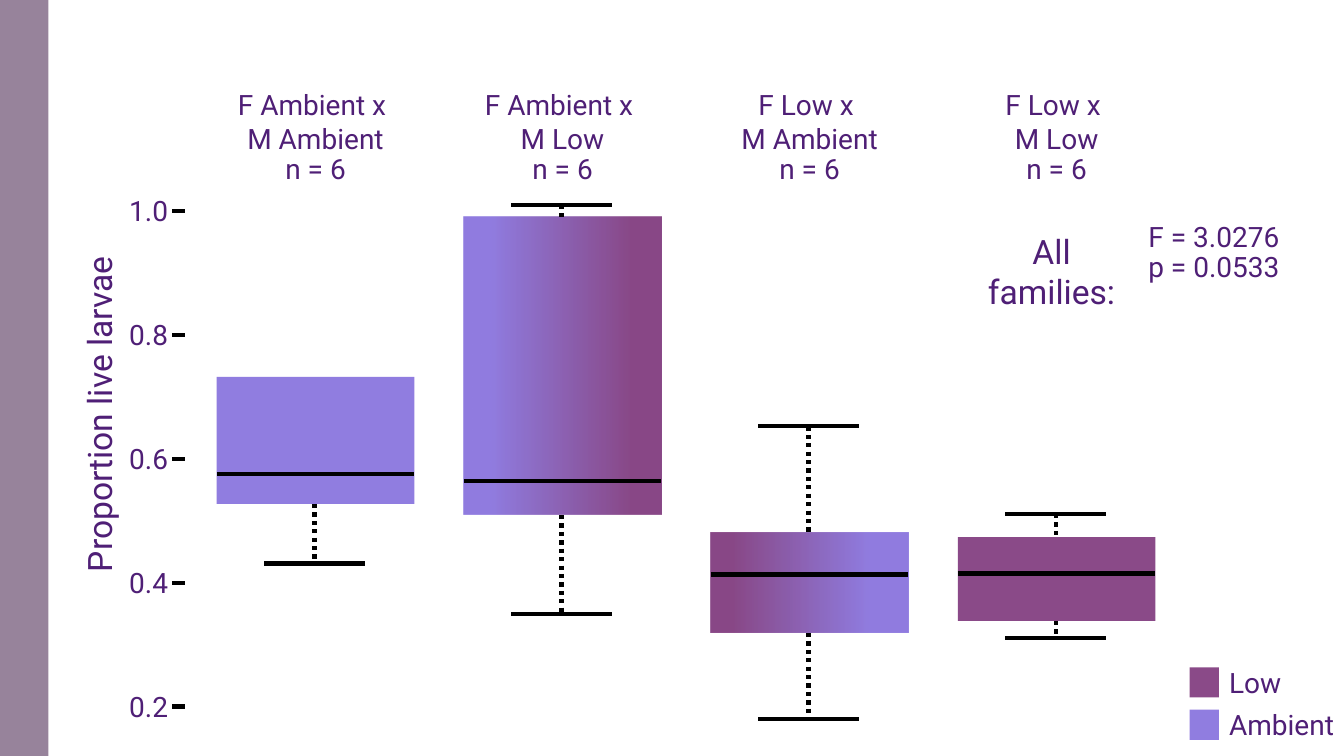
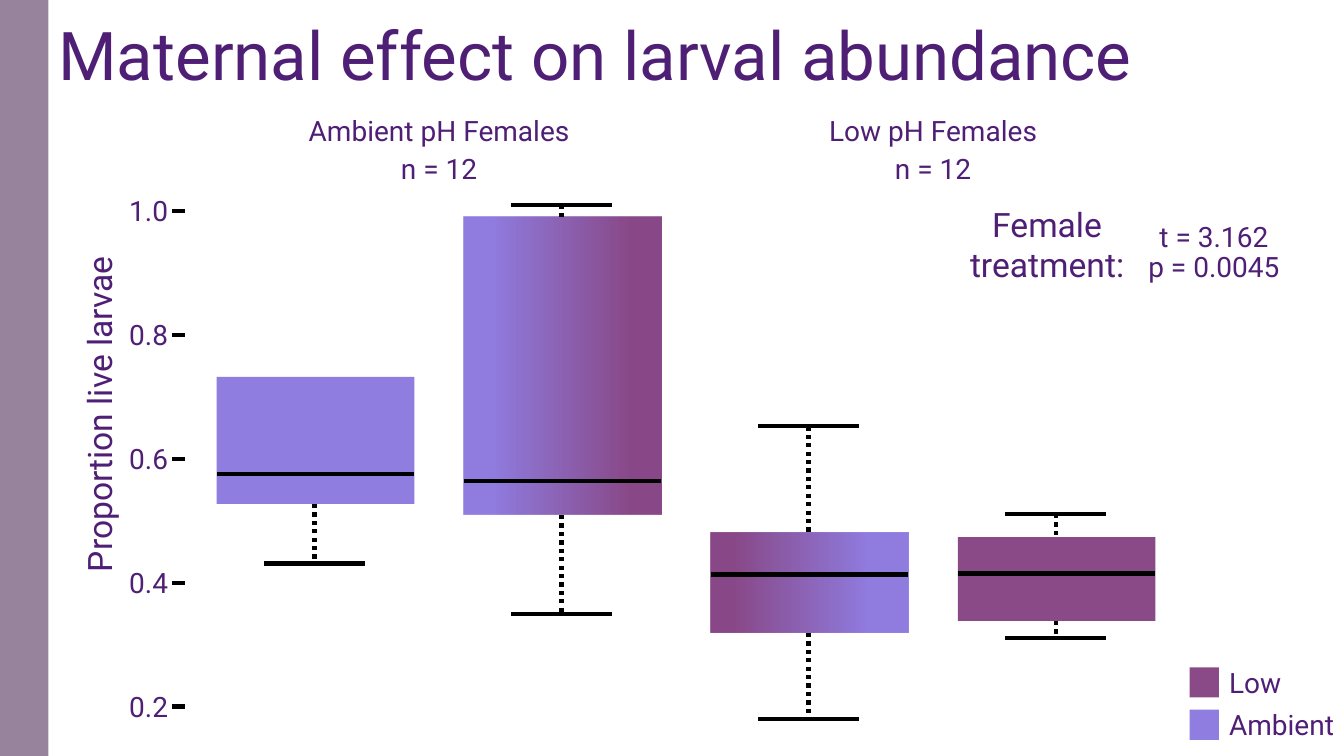
import dataclasses
import typing

import lxml.etree
import pptx
import pptx.dml.color
import pptx.enum.dml
import pptx.enum.shapes
import pptx.enum.text
import pptx.oxml.ns
import pptx.util

PX = 9144  # EMU: 100 px to the inch
FONT = "Roboto"
HUES = {
    "ink": "4F1F76",
    "band": "7E6583",
    "low": "6D1D6B",
    "ambient": "755DD9",
    "line": "000000",
}
ALIGN = pptx.enum.text.PP_ALIGN
ANCHOR = pptx.enum.text.MSO_ANCHOR


@dataclasses.dataclass(frozen=True)
class Stop:
    hue: str
    place: float


@dataclasses.dataclass(frozen=True)
class Box:
    """One box of the plot, with heights as px from the slide top."""
    top: int
    mid: int
    base: int
    low: int
    high: typing.Optional[int]
    stops: tuple[Stop, ...]


@dataclasses.dataclass(frozen=True)
class Head:
    """A heading above one or two boxes."""
    lines: tuple[str, ...]
    count: str
    left: int
    width: int


@dataclasses.dataclass(frozen=True)
class Stat:
    """A test result: its label and two values."""
    label: str
    top: int
    left: int
    width: int
    values: tuple[str, str]
    start: int


BOXES = (
    Box(374, 470, 500, 559, None, (Stop("ambient", 0),)),
    Box(215, 477, 511, 609, 203, (Stop("low", 0.16), Stop("ambient", 0.86))),
    Box(528, 570, 628, 713, 423, (Stop("ambient", 0.2), Stop("low", 0.88))),
    Box(533, 569, 616, 633, 510, (Stop("low", 0),)),
)
LEFT, STEP, WIDE, CAP = 215, 245, 196, 50
TICKS = ("1.0", "0.8", "0.6", "0.4", "0.2")
KEYS = {"Low": "low", "Ambient": "ambient"}

CROSSES = (
    ("F Ambient x ", "M Ambient"),
    ("F Ambient x ", "M Low"),
    ("F Low x ", "M Ambient"),
    ("F Low x ", "M Low"),
)
PAIRS = tuple(
    Head(lines, "n = 6", LEFT + i * STEP, WIDE) for i, lines in enumerate(CROSSES)
)
FEMALES = tuple(
    Head((text,), "n = 12", LEFT + 2 * i * STEP, STEP + WIDE)
    for i, text in enumerate(("Ambient pH Females", "Low pH Females"))
)
ALL = Stat("All families:", 224, 953, 180, ("F = 3.0276", "p = 0.0533"), 1122)
FEMALE = Stat("Female treatment:", 197, 949, 179, ("t = 3.162", "p = 0.0045"), 1122)


def rgb(hue: str) -> pptx.dml.color.RGBColor:
    return pptx.dml.color.RGBColor.from_string(HUES[hue])


def say(shapes, text: str, left: int, top: int, width: int, height: int = 44, *,
        size: int = 20, align=ALIGN.CENTER, anchor=ANCHOR.TOP, pad: int = 10,
        turn: int = 0, lead: typing.Optional[float] = None) -> None:
    """Add a text box; each line of the text is a paragraph."""
    box = shapes.add_textbox(left * PX, top * PX, width * PX, height * PX)
    box.rotation = turn
    frame = box.text_frame
    frame.word_wrap = True
    frame.vertical_anchor = anchor
    frame.margin_left = frame.margin_right = pad * PX
    frame.text = text
    for para in frame.paragraphs:
        para.alignment = align
        para.line_spacing = lead
        for run in para.runs:
            run.font.name = FONT
            run.font.size = pptx.util.Pt(size)
            run.font.color.rgb = rgb("ink")


def block(shapes, left: int, top: int, width: int, height: int,
          stops: tuple[Stop, ...]) -> None:
    """Add a sheer rectangle: plain for one stop, a gradient for two."""
    shape = shapes.add_shape(pptx.enum.shapes.MSO_SHAPE.RECTANGLE,
                             left * PX, top * PX, width * PX, height * PX)
    shape.shadow.inherit = False
    shape.line.fill.background()
    if len(stops) == 1:
        shape.fill.solid()
        shape.fill.fore_color.rgb = rgb(stops[0].hue)
    else:
        shape.fill.gradient()
        shape.fill.gradient_angle = 180
        for mark, stop in zip(shape.fill.gradient_stops, stops):
            mark.color.rgb = rgb(stop.hue)
            mark.position = stop.place
    qn = pptx.oxml.ns.qn
    for tint in list(shape._element.spPr.iter(qn("a:srgbClr"))):
        lxml.etree.SubElement(tint, qn("a:alpha"), val="80000")


def rule(shapes, x1: int, y1: int, x2: int, y2: int, dots: bool = False) -> None:
    line = shapes.add_connector(pptx.enum.shapes.MSO_CONNECTOR.STRAIGHT,
                                x1 * PX, y1 * PX, x2 * PX, y2 * PX)
    line.line.color.rgb = rgb("line")
    line.line.width = pptx.util.Pt(3)
    if dots:
        line.line.dash_style = pptx.enum.dml.MSO_LINE.ROUND_DOT
    lxml.etree.SubElement(line._element.spPr, pptx.oxml.ns.qn("a:effectLst"))


def plot(shapes, box: Box, left: int) -> None:
    """Draw a box with its median, whiskers and caps."""
    group = shapes.add_group_shape().shapes
    block(group, left, box.top, WIDE, box.base - box.top, box.stops)
    rule(group, left, box.mid, left + WIDE, box.mid)
    mid = left + WIDE // 2 - 1
    for edge, cap in ((box.base, box.low), (box.top, box.high)):
        if cap is not None:
            rule(group, mid - CAP, cap, mid + CAP, cap)
            rule(group, mid, min(edge, cap), mid, max(edge, cap), dots=True)


def scale(shapes) -> None:
    """Draw the axis title and its ticks."""
    say(shapes, "Proportion live larvae", -226, 386, 648, 50, size=24, turn=270)
    group = shapes.add_group_shape().shapes
    for i, text in enumerate(TICKS):
        y = 209 + 123 * i
        rule(group, 171, y, 183, y)
        say(group, text, 117, y - 22, 61, pad=0)


def legend(shapes) -> None:
    group = shapes.add_group_shape().shapes
    for i, (text, hue) in enumerate(KEYS.items()):
        top = 662 + 42 * i
        block(group, 1180, top, 29, 30, (Stop(hue, 0),))
        say(group, text, 1219, top - 7, 114, align=ALIGN.LEFT, pad=0)


def heads(shapes, items: tuple[Head, ...], top: int) -> None:
    for head in items:
        say(shapes, "\n".join(head.lines), head.left, top, head.width,
            11 + 33 * len(head.lines))
        say(shapes, head.count, head.left, 145, head.width)


def result(shapes, stat: Stat) -> None:
    group = shapes.add_group_shape().shapes
    say(group, stat.label, stat.left, stat.top, stat.width, 91, size=24)
    for i, text in enumerate(stat.values):
        say(group, text, stat.start, 213 + 30 * i, 164)


def page(deck, items: tuple[Head, ...], top: int, stat: Stat, title: str = "") -> None:
    """Add a slide with the plot and its own headings and result."""
    shapes = deck.slides.add_slide(deck.slide_layouts[6]).shapes
    block(shapes, 0, 0, 48, 750, (Stop("band", 0),))
    if title:
        say(shapes, title, 48, 17, 1282, 83, size=48, align=ALIGN.LEFT,
            anchor=ANCHOR.MIDDLE, lead=0.9)
    for i, box in enumerate(BOXES):
        plot(shapes, box, LEFT + i * STEP)
    scale(shapes)
    legend(shapes)
    heads(shapes, items, top)
    result(shapes, stat)


def main() -> None:
    deck = pptx.Presentation()
    deck.slide_width, deck.slide_height = 1333 * PX, 750 * PX
    page(deck, PAIRS, 82, ALL)
    page(deck, FEMALES, 108, FEMALE, "Maternal effect on larval abundance")
    deck.save("out.pptx")


if __name__ == "__main__":
    main()
